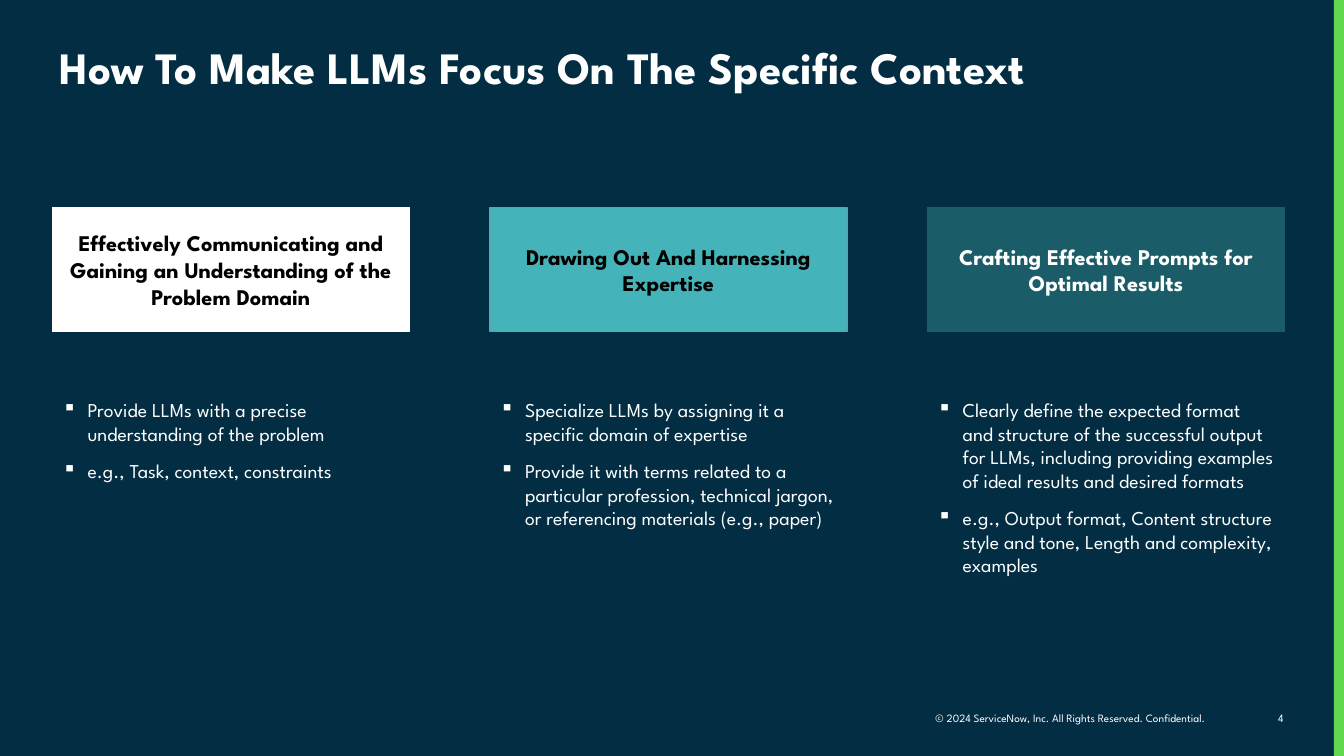
import pptx
import pptx.util
import pptx.dml.color
import pptx.enum.shapes
import pptx.enum.text
import lxml.etree

Inch = pptx.util.Inches
Pt = pptx.util.Pt
Align = pptx.enum.text.PP_ALIGN
Anchor = pptx.enum.text.MSO_ANCHOR
Shape = pptx.enum.shapes.MSO_SHAPE

FACE = "League Spartan"
HUES = {
    "navy": "032D42",
    "green": "62D84E",
    "white": "FFFFFF",
    "black": "000000",
    "teal": "45B4BA",
    "edge": "51AAB3",
    "deep": "1A5D68",
}
WIDE, HIGH = 13.33, 7.5
LEFT, PITCH, SPAN = 0.52, 4.34, 3.54
HEAD, BODY = (2.06, 1.23), (3.9, 2.49)

CARDS = [
    ("Effectively Communicating and Gaining an Understanding of the Problem Domain",
     "white", "white", "black",
     ["Provide LLMs with a precise understanding of the problem",
      "e.g., Task, context, constraints"]),
    ("Drawing Out And Harnessing Expertise",
     "teal", "edge", "black",
     ["Specialize LLMs by assigning it a specific domain of expertise",
      "Provide it with terms related to a particular profession, technical jargon, "
      "or referencing materials (e.g., paper)"]),
    ("Crafting Effective Prompts for Optimal Results",
     "deep", "deep", "white",
     ["Clearly define the expected format and structure of the successful output "
      "for LLMs, including providing examples of ideal results and desired formats",
      "e.g., Output format, Content structure style and tone, Length and complexity, "
      "examples"]),
]


def hue(name):
    return pptx.dml.color.RGBColor.from_string(HUES[name])


def style(para, size, color="white", bold=False, align=Align.LEFT):
    para.alignment = align
    font = para.font
    font.name, font.size, font.bold = FACE, Pt(size), bold
    font.color.rgb = hue(color)


def bullet(para):
    props = para._p.get_or_add_pPr()
    props.set("marL", str(Inch(0.25)))
    props.set("indent", str(-Inch(0.25)))
    mark = lxml.etree.SubElement(props, pptx.oxml.ns.qn("a:buChar"))
    mark.set("char", "▪")


def title(slide, text):
    shape = slide.shapes.title
    shape.left, shape.top = Inch(0.49), Inch(0.4)
    shape.width, shape.height = Inch(12.24), Inch(1.31)
    frame = shape.text_frame
    frame.text = text
    frame.word_wrap = True
    frame.vertical_anchor = Anchor.TOP
    para = frame.paragraphs[0]
    para.line_spacing = 0.9
    style(para, 32, bold=True)


def block(slide, kind, box, fill, line=None):
    shape = slide.shapes.add_shape(kind, *map(Inch, box))
    shape.shadow.inherit = False
    shape.fill.solid()
    shape.fill.fore_color.rgb = hue(fill)
    if line:
        shape.line.color.rgb = hue(line)
        shape.line.width = Pt(1)
    else:
        shape.line.fill.background()
    return shape


def label(slide, box, text, fill, line, color):
    shape = block(slide, Shape.ROUNDED_RECTANGLE, box, fill, line)
    shape.adjustments[0] = 0
    frame = shape.text_frame
    frame.text = text
    frame.word_wrap = True
    frame.vertical_anchor = Anchor.MIDDLE
    style(frame.paragraphs[0], 16, color, True, Align.CENTER)


def points(slide, box, items):
    frame = slide.shapes.add_textbox(*map(Inch, box)).text_frame
    frame.word_wrap = True
    for rank, item in enumerate(items):
        para = frame.add_paragraph() if rank else frame.paragraphs[0]
        para.text = item
        bullet(para)
        para.space_before = Pt(4 if rank else 0)
        para.space_after = Pt(6)
        style(para, 14)


def note(slide, box, text, anchor):
    frame = slide.shapes.add_textbox(*map(Inch, box)).text_frame
    frame.text = text
    frame.word_wrap = True
    frame.vertical_anchor = anchor
    style(frame.paragraphs[0], 8, align=Align.RIGHT)


def main():
    deck = pptx.Presentation()
    deck.slide_width, deck.slide_height = Inch(WIDE), Inch(HIGH)
    slide = deck.slides.add_slide(deck.slide_layouts.get_by_name("Title Only"))
    slide.background.fill.solid()
    slide.background.fill.fore_color.rgb = hue("navy")

    note(slide, (8.68, 7.01, 3.38, 0.23),
         "© 2024 ServiceNow, Inc. All Rights Reserved. Confidential.", Anchor.MIDDLE)
    note(slide, (12.1, 7.01, 0.73, 0.25), "4", Anchor.TOP)
    block(slide, Shape.RECTANGLE, (WIDE - 0.1, 0, 0.1, HIGH), "green")
    title(slide, "How To Make LLMs Focus On The Specific Context")

    for col, (text, fill, line, color, items) in enumerate(CARDS):
        left = LEFT + col * PITCH
        label(slide, (left, HEAD[0], SPAN, HEAD[1]), text, fill, line, color)
        points(slide, (left, BODY[0], SPAN, BODY[1]), items)

    deck.save("out.pptx")


if __name__ == "__main__":
    main()
